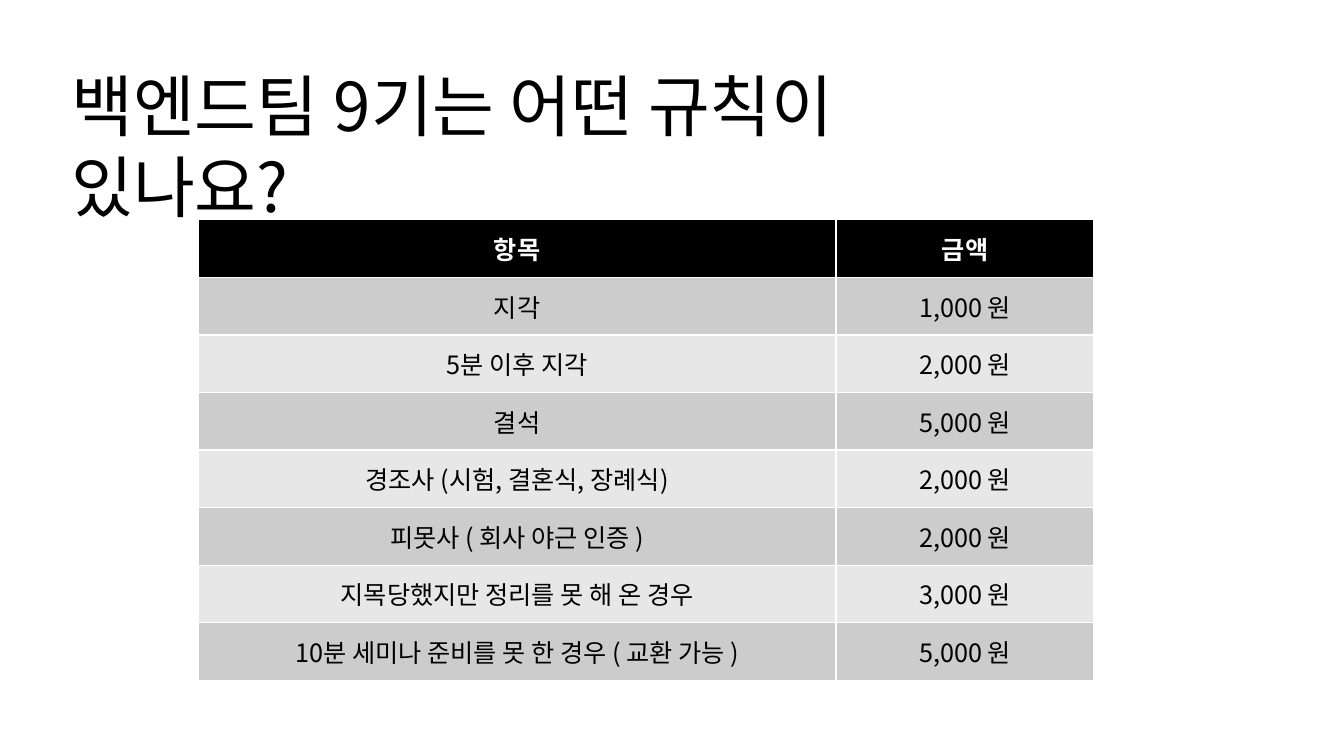
from pptx import Presentation
from pptx.dml.color import RGBColor
from pptx.enum.text import MSO_ANCHOR, MSO_AUTO_SIZE, PP_ALIGN
from pptx.oxml.ns import qn
from pptx.util import Cm, Pt
from lxml.etree import SubElement

COLORS = {"ink": "000000", "paper": "FFFFFF", "odd": "CCCCCC", "even": "E7E7E7"}
FONT = "Noto Sans CJK KR"

HEADER = ("항목", "금액")
FINES = [
    ("지각", "1,000 원"),
    ("5분 이후 지각", "2,000 원"),
    ("결석", "5,000 원"),
    ("경조사 (시험, 결혼식, 장례식)", "2,000 원"),
    ("피못사 ( 회사 야근 인증 )", "2,000 원"),
    ("지목당했지만 정리를 못 해 온 경우", "3,000 원"),
    ("10분 세미나 준비를 못 한 경우 ( 교환 가능 )", "5,000 원"),
]


class SlideWriter:
    def __init__(self, page, font, colors):
        self.page = page
        self.font = font
        self.colors = colors

    def color(self, name):
        return RGBColor.from_string(self.colors[name])

    def span(self, para, text, size, color="ink", bold=False):
        span = para.add_run()
        span.text = text
        span.font.size = Pt(size)
        span.font.bold = bold
        span.font.name = self.font
        span.font.color.rgb = self.color(color)
        # Hangul takes its typeface from the East Asian font
        properties = span.font._element
        SubElement(properties, qn("a:ea"), typeface=self.font)

    def title(self, text, left, top, width, height):
        box = self.page.shapes.add_textbox(Cm(left), Cm(top), Cm(width), Cm(height))
        frame = box.text_frame
        frame.word_wrap = True
        frame.auto_size = MSO_AUTO_SIZE.SHAPE_TO_FIT_TEXT
        self.span(frame.paragraphs[0], text, 48)

    def cell(self, cell, text, fill, color="ink", bold=False):
        cell.fill.solid()
        cell.fill.fore_color.rgb = self.color(fill)
        cell.vertical_anchor = MSO_ANCHOR.MIDDLE
        para = cell.text_frame.paragraphs[0]
        para.alignment = PP_ALIGN.CENTER
        self.span(para, text, 18, color, bold)

    def table(self, header, rows, left, top, widths, row_height):
        count = len(rows) + 1
        table = self.page.shapes.add_table(
            count, len(widths), Cm(left), Cm(top),
            Cm(sum(widths)), Cm(row_height * count)).table
        for column, width in zip(table.columns, widths):
            column.width = Cm(width)
        for row in table.rows:
            row.height = Cm(row_height)
        for index, text in enumerate(header):
            self.cell(table.cell(0, index), text, "ink", "paper", True)
        for number, row in enumerate(rows, 1):
            fill = "odd" if number % 2 else "even"
            for index, text in enumerate(row):
                self.cell(table.cell(number, index), text, fill)


def main():
    deck = Presentation()
    deck.slide_width, deck.slide_height = Cm(33.87), Cm(19.05)
    page = deck.slides.add_slide(deck.slide_layouts[6])
    writer = SlideWriter(page, FONT, COLORS)

    # Question at the top
    writer.title("백엔드팀 9기는 어떤 규칙이 있나요?", 1.55, 1.5, 24.38, 2.31)

    # Table of fines
    writer.table(HEADER, FINES, 4.99, 5.54, (16.08, 6.5), 1.45)

    deck.save("out.pptx")


if __name__ == "__main__":
    main()
